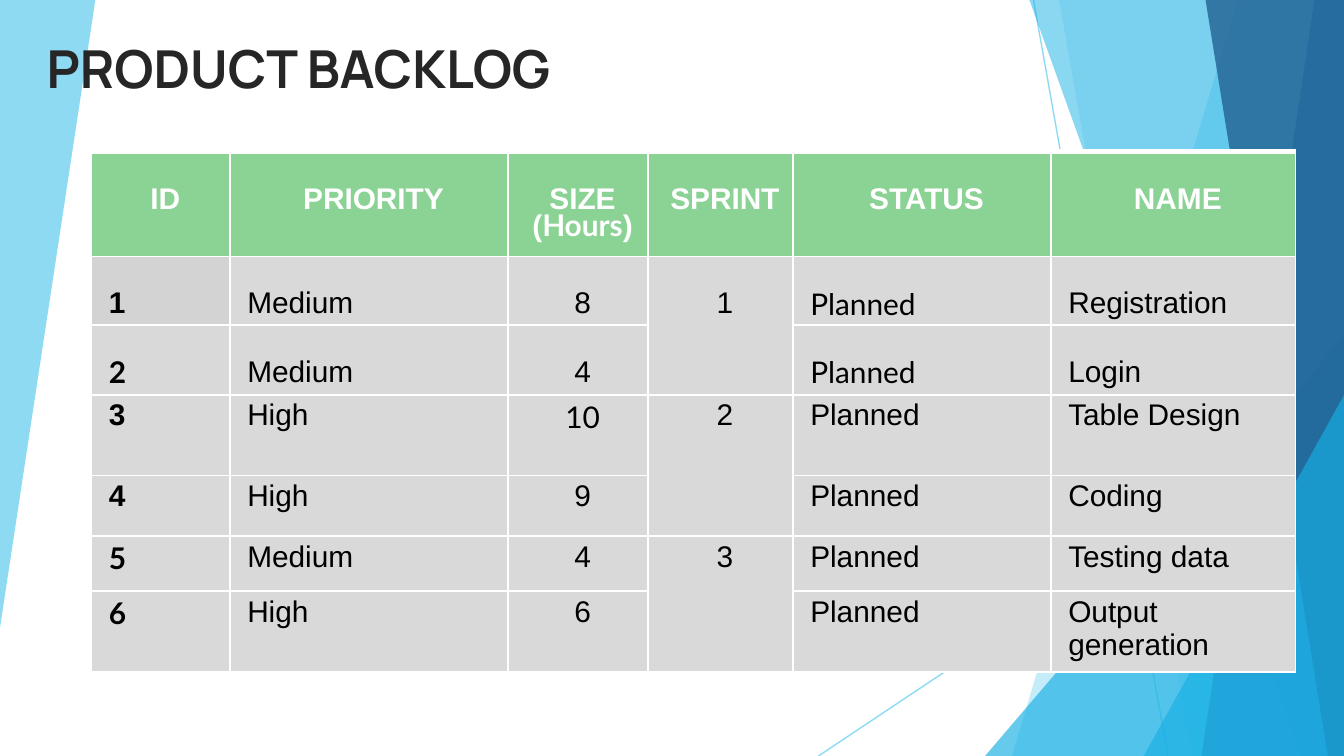
from dataclasses import dataclass

from lxml import etree
from pptx import Presentation
from pptx.dml.color import RGBColor
from pptx.enum import shapes, text
from pptx.oxml import ns
from pptx.util import Inches, Pt

COLORS = {
    "sky": "5FCBEF", "cyan": "17B0E4", "blue": "2E83C3", "navy": "226292",
    "header": "8AD394", "first_cell": "D3D3D3", "cell": "D9D9D9",
    "title": "262626", "black": "000000", "white": "FFFFFF",
}
WIDTH = 10
HEIGHT = WIDTH * 9 / 16


@dataclass
class Facet:
    """Polygon given by its corner points in inches."""
    points: list[tuple[float, float]]
    color: str
    opacity: int


@dataclass
class Corner:
    """Right triangle filling the lower right corner of the slide."""
    left: float
    top: float
    color: str
    opacity: int


@dataclass
class Ray:
    start: tuple[float, float]
    end: tuple[float, float]


@dataclass
class Run:
    text: str
    font: str = "Arial"
    bold: bool = False


def rgb(name: str) -> RGBColor:
    return RGBColor.from_string(COLORS[name])


def set_opacity(element, percent: int) -> None:
    color = element.find(".//" + ns.qn("a:srgbClr"))
    etree.SubElement(color, ns.qn("a:alpha")).set("val", str(percent * 1000))


def right_facet(top_left: float, bottom_left: float, color: str, opacity: int) -> Facet:
    """Band that reaches from a slanted left edge to the right slide edge."""
    points = [(top_left, 0), (WIDTH, 0), (WIDTH, HEIGHT), (bottom_left, HEIGHT)]
    return Facet(points, color, opacity)


# Background decoration, from back to front
DECORATION = [
    Facet([(0, 0), (0.71, 0), (0, 4.67)], "sky", 70),
    Ray((7.69, 0), (8.69, HEIGHT)),
    Ray((WIDTH, 3.02), (6.09, HEIGHT)),
    right_facet(9.21, 7.53, "sky", 36),
    right_facet(7.88, 8.87, "sky", 20),
    Corner(7.33, 2.5, "cyan", 66),
    right_facet(7.66, 9.68, "cyan", 50),
    right_facet(9.78, 8.94, "blue", 70),
    right_facet(8.97, 9.88, "navy", 80),
    Corner(8.51, 2.94, "cyan", 66),
]

# Backlog content: an item is id, priority, size, sprint, status, name
HEADERS = ["ID", "PRIORITY", "SIZE", "SPRINT", "STATUS", "NAME"]
ITEMS = [
    ("1", "Medium", "8", "1", "Planned", "Registration"),
    ("2", "Medium", "4", "", "Planned", "Login"),
    ("3", "High", "10", "2", "Planned", "Table Design"),
    ("4", "High", "9", "", "Planned", "Coding"),
    ("5", "Medium", "4", "3", "Planned", "Testing data"),
    ("6", "High", "6", "", "Planned", "Output generation"),
]
LATO_CELLS = {(1, 4), (2, 0), (2, 4), (3, 2), (5, 0), (6, 0)}
COLUMN_WIDTHS = [1.03, 2.07, 1.04, 1.08, 1.92, 1.82]
ROW_HEIGHTS = [0.78, 0.51, 0.52, 0.6, 0.45, 0.41, 0.6]
SPRINT_COLUMN = 3
CENTERED_COLUMNS = {2, SPRINT_COLUMN}
LOWERED_ROWS = 3  # the top rows have tight lines and start one line lower


def draw_ray(slide, ray: Ray) -> None:
    line = slide.shapes.add_connector(
        shapes.MSO_CONNECTOR.STRAIGHT, *map(Inches, ray.start + ray.end))
    line.line.color.rgb = rgb("sky")
    line.line.width = Pt(0.75)
    set_opacity(line.line._ln, 70)
    etree.SubElement(line._element.spPr, ns.qn("a:effectLst"))


def draw_filled(slide, part: Facet | Corner) -> None:
    if isinstance(part, Facet):
        first, *others = [(Inches(x), Inches(y)) for x, y in part.points]
        builder = slide.shapes.build_freeform(*first)
        builder.add_line_segments(others, close=True)
        shape = builder.convert_to_shape()
    else:
        shape = slide.shapes.add_shape(
            shapes.MSO_SHAPE.ISOSCELES_TRIANGLE, Inches(part.left), Inches(part.top),
            Inches(WIDTH - part.left), Inches(HEIGHT - part.top))
        shape.adjustments[0] = 1
    shape.shadow.inherit = False
    shape.line.fill.background()
    shape.fill.solid()
    shape.fill.fore_color.rgb = rgb(part.color)
    set_opacity(shape._element.spPr, part.opacity)


def add_run(paragraph, run: Run, size: float, color: str) -> None:
    new_run = paragraph.add_run()
    new_run.text = run.text
    font = new_run.font
    font.name, font.size, font.bold = run.font, Pt(size), run.bold
    font.color.rgb = rgb(color)


def set_borders(cell, top_width: float) -> None:
    properties = cell._tc.get_or_add_tcPr()
    for side, width in (("L", 1), ("R", 1), ("T", top_width), ("B", 1)):
        border = etree.SubElement(properties, ns.qn(f"a:ln{side}"), w=str(Pt(width)))
        fill = etree.SubElement(border, ns.qn("a:solidFill"))
        etree.SubElement(fill, ns.qn("a:srgbClr"), val=COLORS["white"])


def cell_lines(row: int, column: int) -> list[list[Run]]:
    """Paragraphs of a cell, each a list of runs."""
    if row == 0:
        lines = [[Run(HEADERS[column], bold=True)]]
        if HEADERS[column] == "SIZE":
            lines.append([Run("(", bold=True), Run("Hours", "Lato", True), Run(")", bold=True)])
        return lines
    font = "Lato" if (row, column) in LATO_CELLS else "Arial"
    return [[Run(ITEMS[row - 1][column], font, column == 0)]]


def fill_cell(cell, row: int, column: int) -> None:
    is_header, is_lowered = row == 0, row < LOWERED_ROWS
    set_borders(cell, 3 if is_header else 1)
    cell.fill.solid()
    fill = "header" if is_header else "first_cell" if (row, column) == (1, 0) else "cell"
    cell.fill.fore_color.rgb = rgb(fill)
    cell.margin_left = cell.margin_right = Inches(0.06)
    cell.margin_top = Inches(0.27 if is_lowered else 0.03)
    cell.margin_bottom = Inches(0.03)
    if cell.is_spanned:
        return
    for index, runs in enumerate(cell_lines(row, column)):
        frame = cell.text_frame
        paragraph = frame.add_paragraph() if index else frame.paragraphs[0]
        paragraph._p.get_or_add_pPr().set("marL", str(Inches(0.07)))
        if is_header or column in CENTERED_COLUMNS:
            paragraph.alignment = text.PP_ALIGN.CENTER
        if is_lowered:
            paragraph.line_spacing = 0.79
        for run in runs:
            add_run(paragraph, run, 16, "white" if is_header else "black")


def draw_backlog(slide) -> None:
    frame = slide.shapes.add_table(
        len(ROW_HEIGHTS), len(COLUMN_WIDTHS), Inches(0.68), Inches(1.13),
        Inches(sum(COLUMN_WIDTHS)), Inches(sum(ROW_HEIGHTS)))
    table = frame.table
    table.first_row = table.horz_banding = False
    for column, width in zip(table.columns, COLUMN_WIDTHS):
        column.width = Inches(width)
    for row, height in zip(table.rows, ROW_HEIGHTS):
        row.height = Inches(height)
    # Each sprint covers two items
    for row in range(1, len(ROW_HEIGHTS), 2):
        table.cell(row, SPRINT_COLUMN).merge(table.cell(row + 1, SPRINT_COLUMN))
    for row in range(len(ROW_HEIGHTS)):
        for column in range(len(COLUMN_WIDTHS)):
            fill_cell(table.cell(row, column), row, column)


def draw_title(slide) -> None:
    title = slide.shapes.title
    title.left, title.top, title.width, title.height = map(Inches, (-0.46, 0.3, 5.36, 0.51))
    frame = title.text_frame
    frame.auto_size = text.MSO_AUTO_SIZE.NONE
    frame.vertical_anchor = text.MSO_ANCHOR.TOP
    frame.margin_left = frame.margin_right = Inches(0.1)
    frame.margin_top = frame.margin_bottom = Inches(0.1)
    paragraph = frame.paragraphs[0]
    paragraph.alignment = text.PP_ALIGN.CENTER
    paragraph.line_spacing = 0.7
    add_run(paragraph, Run("PRODUCT BACKLOG", "Manrope", True), 28, "title")
    slide.shapes._spTree.append(title._element)  # bring to front


def main() -> None:
    presentation = Presentation()
    presentation.slide_width, presentation.slide_height = Inches(WIDTH), Inches(HEIGHT)
    slide = presentation.slides.add_slide(presentation.slide_layouts[5])
    for part in DECORATION:
        if isinstance(part, Ray):
            draw_ray(slide, part)
        else:
            draw_filled(slide, part)
    draw_backlog(slide)
    draw_title(slide)
    presentation.save("out.pptx")


if __name__ == "__main__":
    main()
